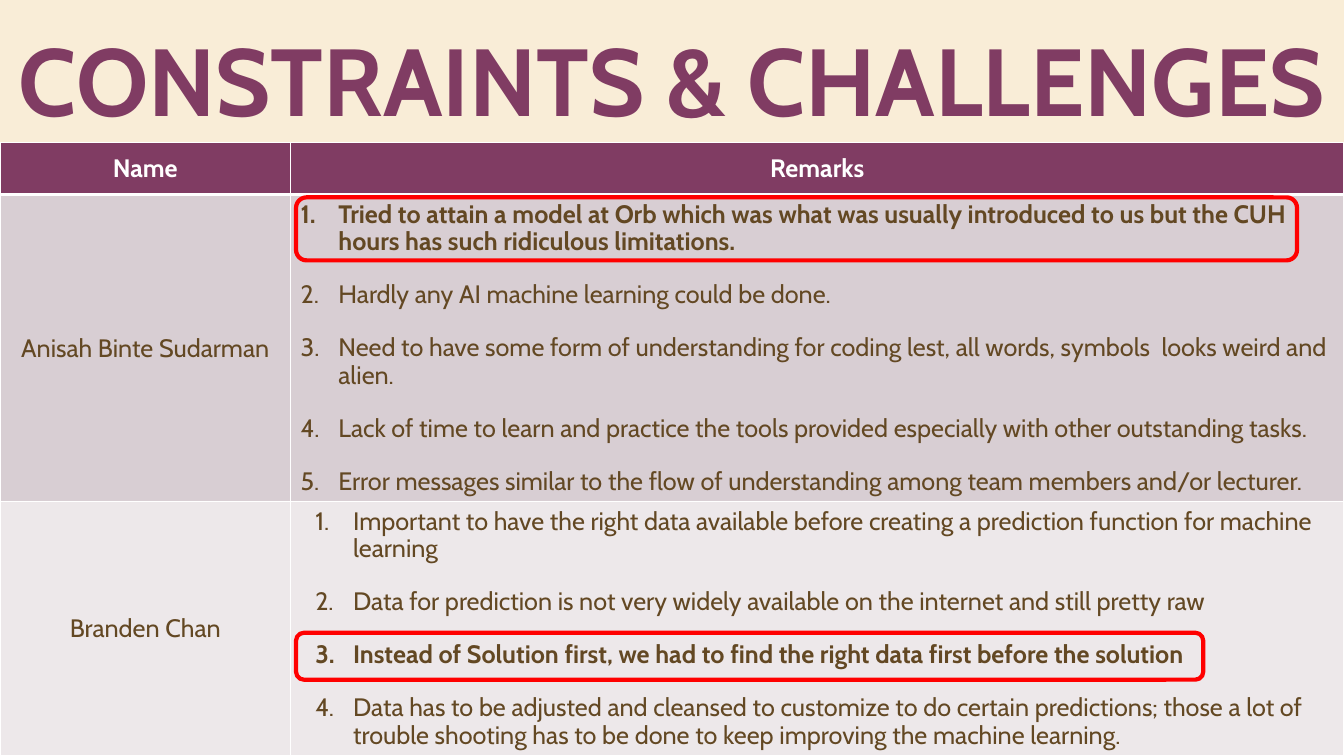
from dataclasses import dataclass

from lxml.etree import SubElement
from pptx import Presentation
from pptx.dml.color import RGBColor as RGB
from pptx.enum.shapes import MSO_SHAPE as SHAPE
from pptx.enum.text import MSO_ANCHOR as ANCHOR, PP_ALIGN as ALIGN
from pptx.oxml.ns import qn
from pptx.util import Pt


@dataclass(frozen=True)
class Theme:
    font: str = "Cabin"
    title_size: int = 68
    body_size: int = 18
    background: str = "F9EDD7"
    plum: str = "803C63"
    brown: str = "634823"
    white: str = "FFFFFF"
    row_fills: tuple = ("D8CED3", "EDE8EA")
    highlight: str = "FF0000"


theme = Theme()


def add_run(p, text, size, color, bold=False):
    r = p.add_run()
    r.text = text
    r.font.name = theme.font
    r.font.size = Pt(size)
    r.font.bold = bold
    r.font.color.rgb = RGB.from_string(color)


def style_cell(cell, fill, bottom_width=1):
    """Set the cell's white borders, fill and vertical centring."""
    tcPr = cell._tc.get_or_add_tcPr()
    for side, width in (("L", 1), ("R", 1), ("T", 1), ("B", bottom_width)):
        ln = SubElement(tcPr, qn(f"a:ln{side}"), w=str(Pt(width)))
        SubElement(SubElement(ln, qn("a:solidFill")), qn("a:srgbClr"), val=theme.white)
    cell.fill.solid()
    cell.fill.fore_color.rgb = RGB.from_string(fill)
    cell.vertical_anchor = ANCHOR.MIDDLE


# Each member: name, left indent of the list, number of the bold remark, remarks
members = [
    ("Anisah Binte Sudarman", 27, 1, [
        "Tried to attain a model at Orb which was what was usually introduced to us "
        "but the CUH hours has such ridiculous limitations.",
        "Hardly any AI machine learning could be done.",
        "Need to have some form of understanding for coding lest, all words, symbols  "
        "looks weird and alien.",
        "Lack of time to learn and practice the tools provided especially with other "
        "outstanding tasks.",
        "Error messages similar to the flow of understanding among team members "
        "and/or lecturer.",
    ]),
    ("Branden Chan", 37.5, 3, [
        "Important to have the right data available before creating a prediction "
        "function for machine learning",
        "Data for prediction is not very widely available on the internet and still "
        "pretty raw",
        "Instead of Solution first, we had to find the right data first before the "
        "solution",
        "Data has to be adjusted and cleansed to customize to do certain predictions; "
        "those a lot of trouble shooting has to be done to keep improving the machine "
        "learning.",
    ]),
]

prs = Presentation()
prs.slide_width, prs.slide_height = Pt(960), Pt(540)
s = prs.slides.add_slide(prs.slide_layouts[6])
s.background.fill.solid()
s.background.fill.fore_color.rgb = RGB.from_string(theme.background)

# Table of remarks
column_widths = (207.5, 752.5)
row_heights = (37.5, 219.5, 181.5)
table_top = 540 - sum(row_heights)
table = s.shapes.add_table(3, 2, Pt(0), Pt(table_top), Pt(960), Pt(sum(row_heights))).table
for column, width in zip(table.columns, column_widths):
    column.width = Pt(width)
for row, height in zip(table.rows, row_heights):
    row.height = Pt(height)

for col, heading in enumerate(("Name", "Remarks")):
    cell = table.cell(0, col)
    style_cell(cell, theme.plum, bottom_width=3)
    p = cell.text_frame.paragraphs[0]
    p.alignment = ALIGN.CENTER
    add_run(p, heading, theme.body_size, theme.white, bold=True)

for row, (name, indent, bold_number, remarks) in enumerate(members, 1):
    name_cell, remarks_cell = table.cell(row, 0), table.cell(row, 1)
    for cell in (name_cell, remarks_cell):
        style_cell(cell, theme.row_fills[row - 1])
    p = name_cell.text_frame.paragraphs[0]
    p.alignment = ALIGN.CENTER
    add_run(p, name, theme.body_size, theme.brown)

    tf = remarks_cell.text_frame
    for number, remark in enumerate(remarks, 1):
        p = tf.paragraphs[0] if number == 1 else tf.add_paragraph()
        p.line_spacing = 0.9
        p.space_before = Pt(0 if number == 1 else 18)
        pPr = p._p.get_or_add_pPr()
        pPr.set("marL", str(Pt(indent)))
        pPr.set("indent", str(Pt(-27)))
        SubElement(pPr, qn("a:buAutoNum"), type="arabicPeriod")
        add_run(p, remark, theme.body_size, theme.brown, bold=number == bold_number)

# Title
tf = s.shapes.add_textbox(Pt(0), Pt(0), Pt(960), Pt(table_top)).text_frame
tf.word_wrap = True
tf.vertical_anchor = ANCHOR.BOTTOM
p = tf.paragraphs[0]
p.alignment = ALIGN.CENTER
p.line_spacing = 0.9
add_run(p, "CONSTRAINTS & CHALLENGES", theme.title_size, theme.plum, bold=True)

# Frames around the bold remarks
for top, width, height in ((141, 715, 45), (452, 648, 33.5)):
    sp = s.shapes.add_shape(SHAPE.ROUNDED_RECTANGLE, Pt(211.5), Pt(top), Pt(width), Pt(height))
    sp.shadow.inherit = False
    sp.fill.background()
    sp.line.color.rgb = RGB.from_string(theme.highlight)
    sp.line.width = Pt(3)

prs.save("out.pptx")
